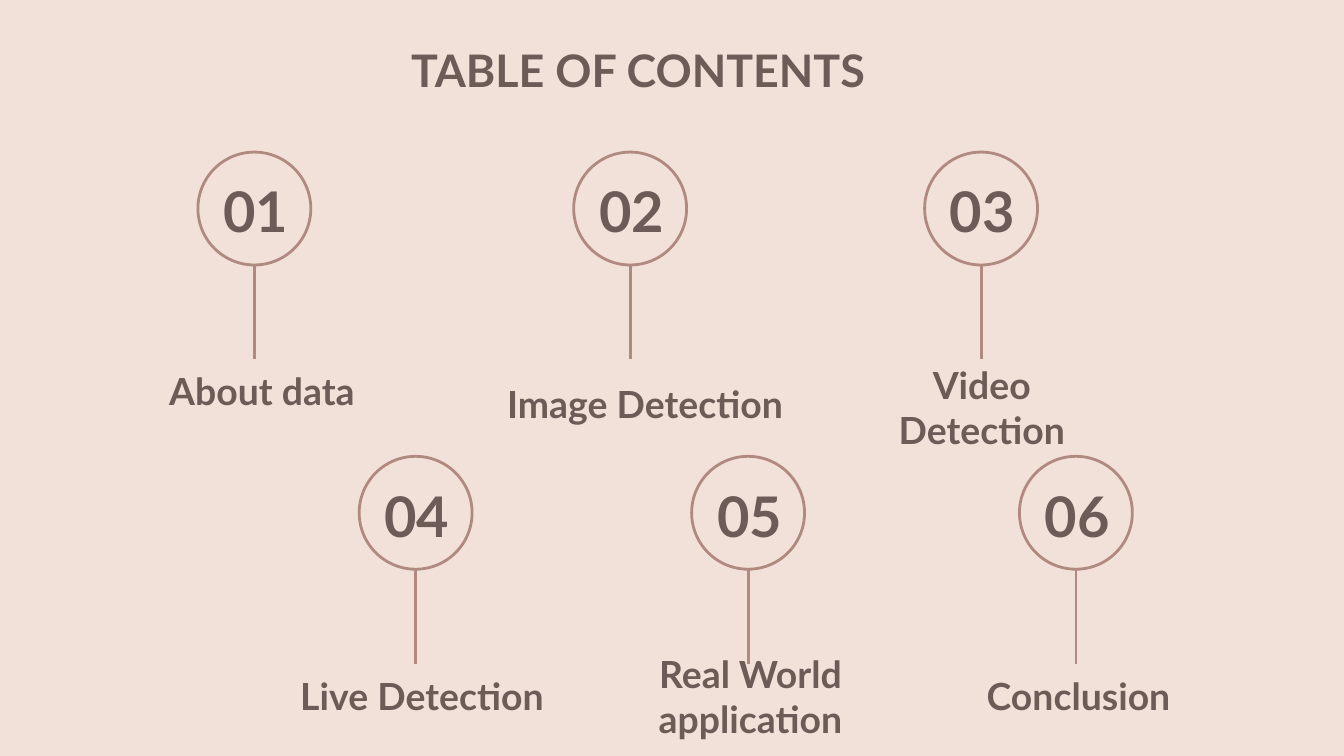
"""Build a table of contents slide with six numbered topics."""
from lxml import etree
from pptx import Presentation
from pptx.dml.color import RGBColor
from pptx.enum.shapes import MSO_CONNECTOR as Connector, MSO_SHAPE as Shape
from pptx.enum.text import MSO_ANCHOR as Anchor, MSO_AUTO_SIZE as AutoSize, PP_ALIGN as Align
from pptx.oxml.ns import qn
from pptx.util import Pt

BACKGROUND = RGBColor(0xF2, 0xE1, 0xD8)
TEXT = RGBColor(0x6D, 0x5B, 0x57)
ACCENT = RGBColor(0xB0, 0x89, 0x80)

DIAMETER = 60.5
STEM = 50.5
NUMBER_WIDTH, NUMBER_HEIGHT = 146, 37
LABEL_HEIGHT = 33
TOP_ROW, BOTTOM_ROW = 81.5, 244.5

TOPICS = [
    ("About data", 136.3, TOP_ROW, 64.8, 193, 151.2),
    ("Image Detection", 337.6, TOP_ROW, 264.2, 199.5, 162.8),
    ("Video Detection", 525.6, TOP_ROW, 449.3, 201.6, 153.4),
    ("Live Detection", 222.7, BOTTOM_ROW, 125.3, 356.4, 201.6),
    ("Real World application", 400.8, BOTTOM_ROW, 329, 356.4, 146.2),
    ("Conclusion", 576.4, BOTTOM_ROW, 504.7, 356.4, 146.2),
]


def write(box, text, size, anchor=Anchor.MIDDLE):
    frame = box.text_frame
    frame.text = text
    frame.word_wrap = True
    frame.auto_size = AutoSize.NONE
    frame.vertical_anchor = anchor
    frame.margin_left = frame.margin_right = Pt(7.2)
    frame.margin_top = frame.margin_bottom = Pt(7.2)
    para = frame.paragraphs[0]
    para.alignment = Align.CENTER
    para.line_spacing = 1.0
    para.space_before = Pt(0)
    font = para.runs[0].font
    font.name, font.size, font.bold = "Lato", Pt(size), True
    font.color.rgb = TEXT


deck = Presentation()
deck.slide_width, deck.slide_height = Pt(720), Pt(405)
page = deck.slides.add_slide(deck.slide_layouts[5])
page.background.fill.solid()
page.background.fill.fore_color.rgb = BACKGROUND

title = page.shapes.title
title.left, title.top, title.width, title.height = Pt(44.6), Pt(15.8), Pt(594.4), Pt(45.4)
write(title, "TABLE OF CONTENTS", 24, Anchor.TOP)

for number, (name, center, top, left, label_top, width) in enumerate(TOPICS, 1):
    label = page.shapes.add_textbox(Pt(left), Pt(label_top), Pt(width), Pt(LABEL_HEIGHT))
    write(label, name, 20)

    circle = page.shapes.add_shape(
        Shape.OVAL, Pt(center - DIAMETER / 2), Pt(top), Pt(DIAMETER), Pt(DIAMETER))
    circle.shadow.inherit = False
    circle.fill.background()

    bottom = top + DIAMETER
    stem = page.shapes.add_connector(
        Connector.STRAIGHT, Pt(center), Pt(bottom), Pt(center), Pt(bottom + STEM))
    etree.SubElement(stem.line._get_or_add_ln().getparent(), qn("a:effectLst"))

    for outline in (circle.line, stem.line):
        outline.color.rgb = ACCENT
        outline.width = Pt(1.5)

    number_box = page.shapes.add_textbox(
        Pt(center + 0.7 - NUMBER_WIDTH / 2), Pt(top + (DIAMETER - NUMBER_HEIGHT) / 2 + 1),
        Pt(NUMBER_WIDTH), Pt(NUMBER_HEIGHT))
    write(number_box, f"{number:02d}", 30)

deck.save("out.pptx")
